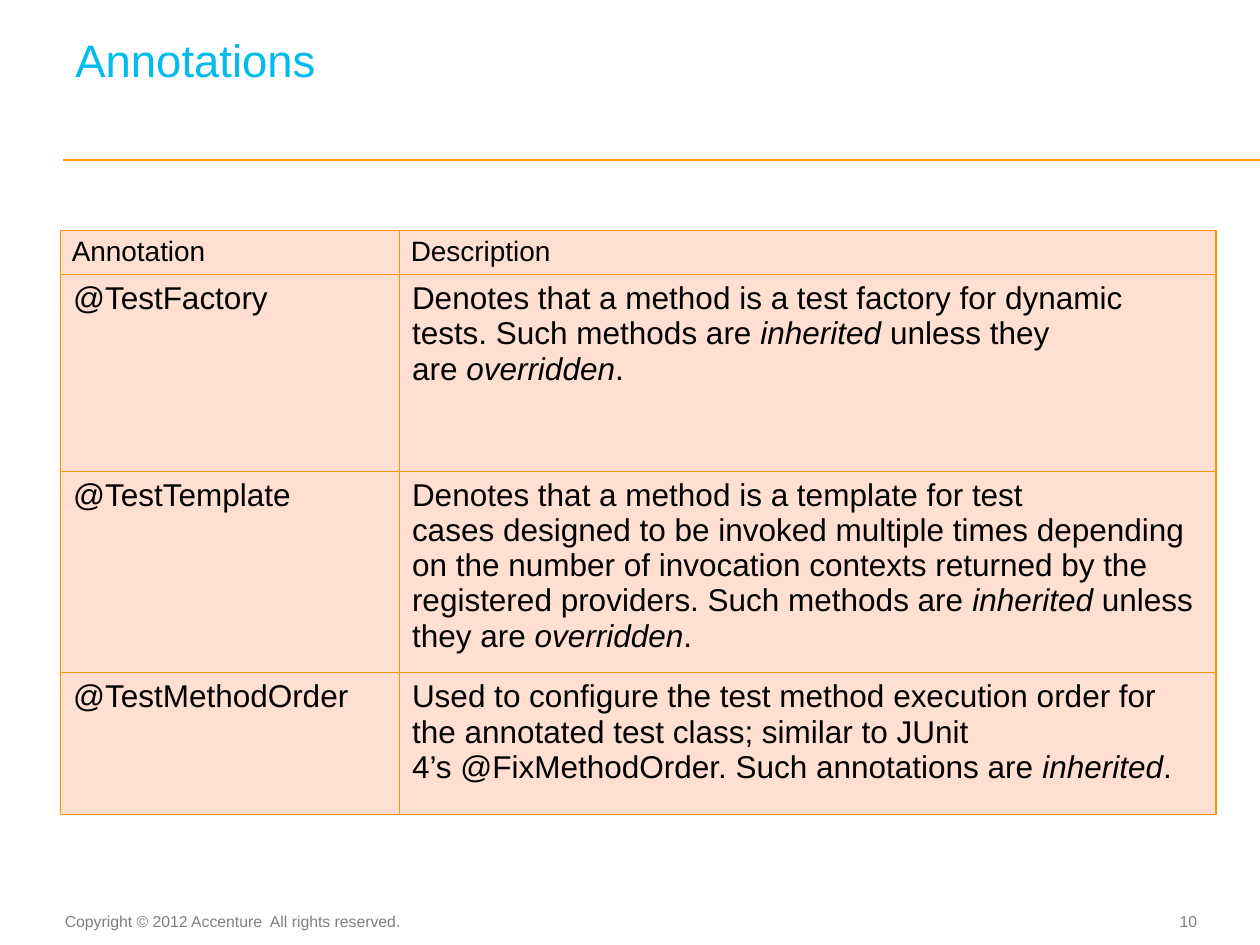
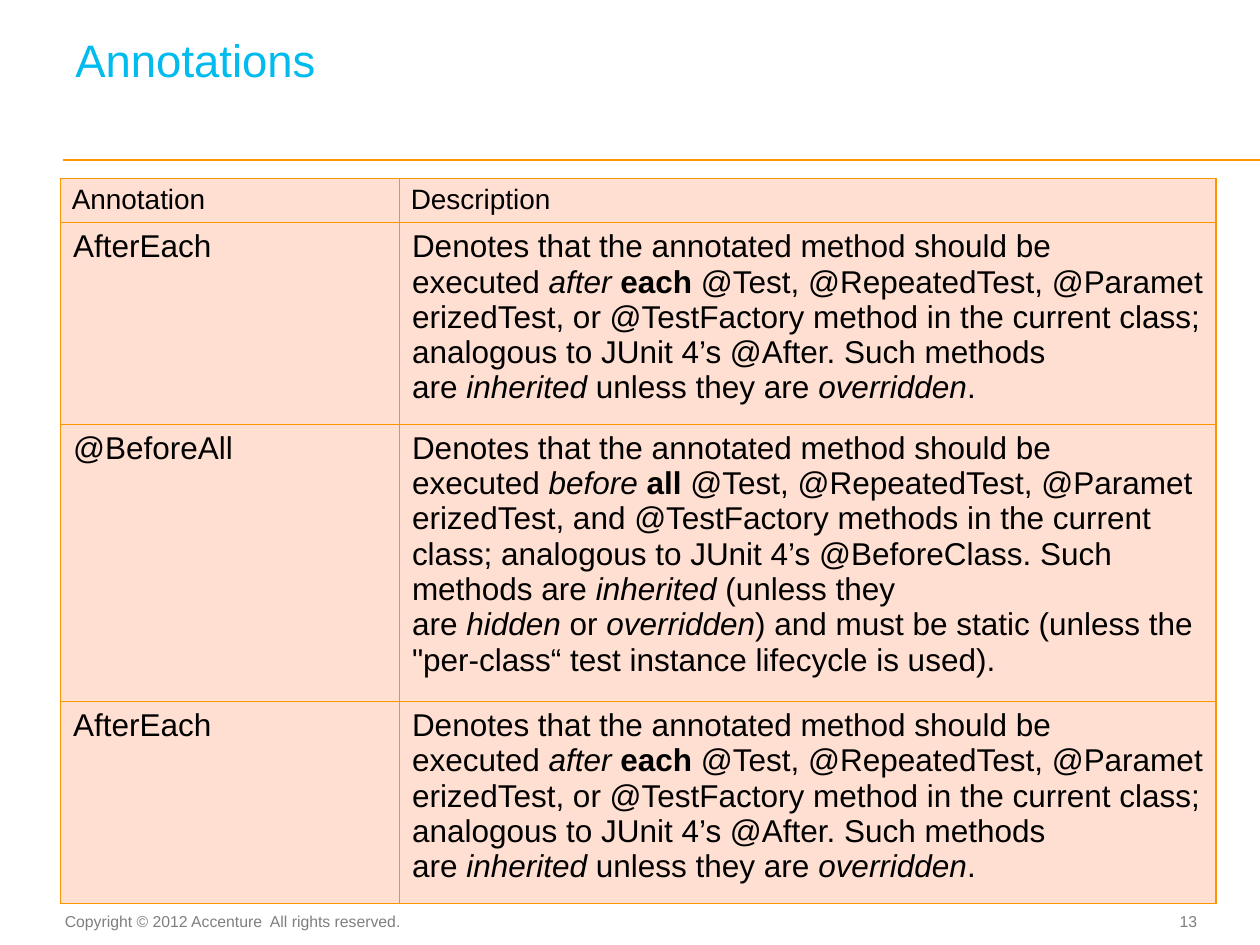
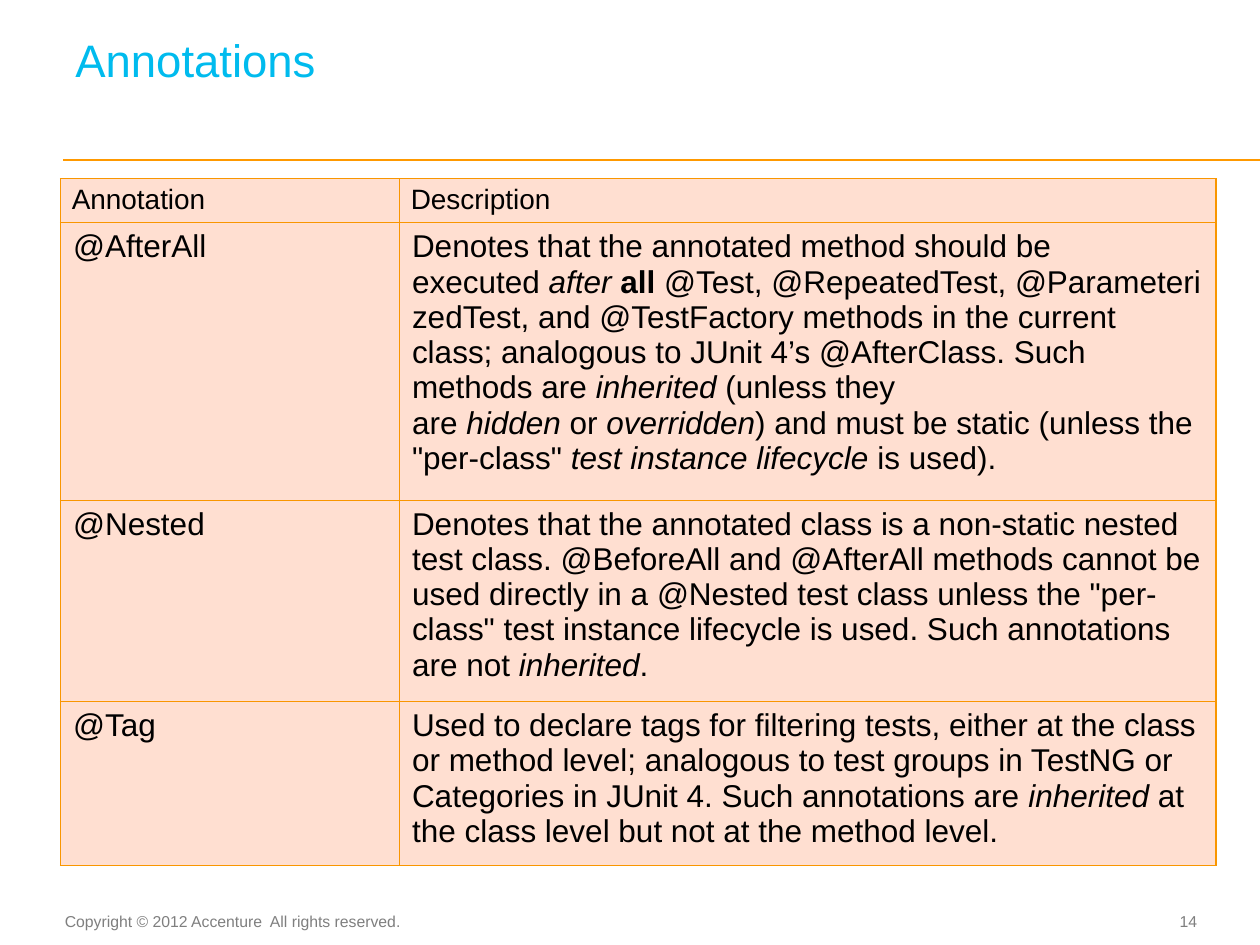
"""Build three slides that list test annotations in tables."""

from dataclasses import dataclass
from typing import Any

import lxml.etree
import pptx
import pptx.dml.color
import pptx.enum.shapes
import pptx.enum.text
import pptx.oxml.ns
import pptx.util

Pt = pptx.util.Pt
Align = pptx.enum.text.PP_ALIGN
Anchor = pptx.enum.text.MSO_ANCHOR

FONT = "Arial"
TITLE_COLOUR = "00BBEE"
RULE_COLOUR = "FF9900"
BORDER_COLOUR = "F99600"
CELL_COLOUR = "FFDFD1"
TEXT_COLOUR = "000000"
FOOTER_COLOUR = "7F7F7F"
BACKGROUND_COLOUR = "FFFFFF"

TABLE_LEFT = 34.56
COLUMN_WIDTHS = (193.7, 466.6)
HEADER_HEIGHT = 25.2
HEADER_MARGINS = {"margin_left": Pt(6.5), "margin_right": Pt(6.5),
                  "margin_top": Pt(3), "margin_bottom": Pt(3)}
BODY_MARGINS = {"margin_left": Pt(7.2), "margin_right": Pt(7.2),
                "margin_top": Pt(3.6), "margin_bottom": Pt(3.6)}


@dataclass(frozen=True)
class Label:
    """A single-line text box with its place and format."""

    left: float
    top: float
    width: float
    height: float
    size: float
    colour: str
    frame_format: dict[str, Any]
    alignment: Any = Align.LEFT


@dataclass(frozen=True)
class Annotation:
    """A table row; ~ is a no-break space, * marks italic and ** bold."""

    name: str
    description: str
    height: float


@dataclass(frozen=True)
class AnnotationSlide:
    """The page number, table top and rows of one slide."""

    number: int
    table_top: float
    annotations: tuple[Annotation, ...]


TITLE = Label(36, 13.68, 645.84, 61.92, 26, TITLE_COLOUR, {
    "margin_left": Pt(7.2), "margin_right": 0, "margin_top": 0,
    "margin_bottom": Pt(26), "vertical_anchor": Anchor.BOTTOM, "word_wrap": True})
COPYRIGHT = Label(35.28, 517.68, 202.32, 18, 9, FOOTER_COLOUR, {
    "margin_left": 0, "margin_right": Pt(7.2), "margin_top": Pt(3.6),
    "margin_bottom": Pt(3.6), "word_wrap": False}, Align.CENTER)
PAGE_NUMBER = Label(641.52, 516.96, 42.48, 19.44, 9, FOOTER_COLOUR, {
    "margin_left": 0, "margin_right": 0, "margin_top": 0, "margin_bottom": 0,
    "vertical_anchor": Anchor.MIDDLE, "word_wrap": True}, Align.RIGHT)

EXECUTED = "Denotes that the annotated method should be executed~"
TESTS = "~@Test,~@RepeatedTest,~@ParameterizedTest, "
UNLESS_OVERRIDDEN = "*inherited*~unless they are~*overridden*."
ALL_TESTS = f"**all**{TESTS}and~@TestFactory~methods in the current class; analogous to JUnit 4’s~"
STATIC_RULE = (" Such methods are~*inherited*~(unless they are~*hidden*~or~*overridden*)"
               " and must be~static~(unless the ")


def after_each(height: float) -> Annotation:
    """Return the AfterEach row at the given height."""
    return Annotation("AfterEach", (
        f"{EXECUTED}*after~***each**{TESTS}or~@TestFactory~method in the current class; "
        f"analogous to JUnit 4’s~@After. Such methods are~{UNLESS_OVERRIDDEN}"
    ).replace("*after~***", "*after*~**"), height)


SLIDES = (
    AnnotationSlide(10, 131.8, (
        Annotation("@TestFactory", (
            "Denotes that a method is a test factory for~dynamic tests. "
            f"Such methods are~{UNLESS_OVERRIDDEN}"), 112.3),
        Annotation("@TestTemplate", (
            "Denotes that a method is a~template for test cases~designed to be invoked "
            "multiple times depending on the number of invocation contexts returned by "
            f"the registered~providers. Such methods are~{UNLESS_OVERRIDDEN}"), 108),
        Annotation("@TestMethodOrder", (
            "Used to configure the~test method execution order~for the annotated test "
            "class; similar to JUnit 4’s~@FixMethodOrder. Such annotations are~"
            "*inherited*."), 81),
    )),
    AnnotationSlide(13, 102.2, (
        after_each(112.3),
        Annotation("@BeforeAll", (
            f"{EXECUTED}*before*~{ALL_TESTS}@BeforeClass.{STATIC_RULE}"
            '"per-class“ test instance lifecycle~is used).'), 148.3),
        after_each(108),
    )),
    AnnotationSlide(14, 102.2, (
        Annotation("@AfterAll", (
            f"{EXECUTED}*after*~{ALL_TESTS}@AfterClass.{STATIC_RULE}"
            '"per-class"~*test instance lifecycle*~is used).'), 148.3),
        Annotation("@Nested", (
            "Denotes that the annotated class is a non-static~nested test class.~"
            "@BeforeAll~and~@AfterAll~methods cannot be used directly in a~@Nested~test "
            'class unless the "per-class"~test instance lifecycle~is used. '
            "Such annotations are not~*inherited*."), 108),
        Annotation("@Tag", (
            "Used to declare~tags for filtering tests, either at the class or method "
            "level; analogous to test groups in TestNG or Categories in JUnit 4. Such "
            "annotations are~*inherited*~at the class level but not at the method level."
        ), 87.8),
    )),
)


def colour(value: str) -> pptx.dml.color.RGBColor:
    """Turn a hex string into a colour."""
    return pptx.dml.color.RGBColor.from_string(value)


def apply_format(target: Any, values: dict[str, Any]) -> None:
    """Set every named attribute on the target."""
    for name, value in values.items():
        setattr(target, name, value)


def add_run(paragraph: Any, text: str, size: float, text_colour: str,
            bold: bool = False, italic: bool = False) -> None:
    """Add one formatted run."""
    run = paragraph.add_run()
    run.text = text.replace("~", chr(160))
    apply_format(run.font, {"name": FONT, "size": Pt(size), "bold": bold, "italic": italic})
    run.font.color.rgb = colour(text_colour)


def add_marked_text(paragraph: Any, text: str, size: float) -> None:
    """Add runs for text with bold and italic marks."""
    for bold_index, section in enumerate(text.split("**")):
        for italic_index, part in enumerate(section.split("*")):
            if part:
                add_run(paragraph, part, size, TEXT_COLOUR,
                        bold_index % 2 == 1, italic_index % 2 == 1)


def add_label(slide: Any, label: Label, text: str) -> Any:
    """Draw a label and return its paragraph."""
    shape = slide.shapes.add_textbox(
        Pt(label.left), Pt(label.top), Pt(label.width), Pt(label.height))
    apply_format(shape.text_frame, label.frame_format)
    paragraph = shape.text_frame.paragraphs[0]
    paragraph.alignment = label.alignment
    add_run(paragraph, text, label.size, label.colour)
    return paragraph


def add_rule(slide: Any) -> None:
    """Draw the line under the title."""
    rule = slide.shapes.add_connector(
        pptx.enum.shapes.MSO_CONNECTOR.STRAIGHT, Pt(36), Pt(91.44), Pt(720), Pt(91.44))
    rule.line.width = Pt(1)
    rule.line.color.rgb = colour(RULE_COLOUR)
    lxml.etree.SubElement(rule._element.spPr, pptx.oxml.ns.qn("a:effectLst"))


def add_borders(cell: Any) -> None:
    """Give a cell the same border on all sides."""
    qn = pptx.oxml.ns.qn
    properties = cell._tc.get_or_add_tcPr()
    for side in ("L", "R", "T", "B"):
        border = lxml.etree.SubElement(properties, qn(f"a:ln{side}"), w=str(Pt(0.75)))
        fill = lxml.etree.SubElement(border, qn("a:solidFill"))
        lxml.etree.SubElement(fill, qn("a:srgbClr"), val=BORDER_COLOUR)


def fill_cell(cell: Any, text: str, size: float, margins: dict[str, Any]) -> None:
    """Format a cell and write its text."""
    add_borders(cell)
    cell.fill.solid()
    cell.fill.fore_color.rgb = colour(CELL_COLOUR)
    apply_format(cell, margins)
    add_marked_text(cell.text_frame.paragraphs[0], text, size)


def add_annotation_table(slide: Any, content: AnnotationSlide) -> None:
    """Draw the table of annotations."""
    heights = [HEADER_HEIGHT] + [row.height for row in content.annotations]
    table = slide.shapes.add_table(
        len(heights), len(COLUMN_WIDTHS), Pt(TABLE_LEFT), Pt(content.table_top),
        Pt(sum(COLUMN_WIDTHS)), Pt(sum(heights))).table
    apply_format(table, {"first_row": False, "horz_banding": False})
    for column, width in zip(table.columns, COLUMN_WIDTHS):
        column.width = Pt(width)
    for row, height in zip(table.rows, heights):
        row.height = Pt(height)
    for column_index, heading in enumerate(("Annotation", "Description")):
        fill_cell(table.cell(0, column_index), heading, 16, HEADER_MARGINS)
    for row_index, annotation in enumerate(content.annotations, start=1):
        for column_index, text in enumerate((annotation.name, annotation.description)):
            fill_cell(table.cell(row_index, column_index), text, 18, BODY_MARGINS)


def add_annotation_slide(presentation: Any, content: AnnotationSlide) -> None:
    """Add one slide with its title, footer and table."""
    slide = presentation.slides.add_slide(presentation.slide_layouts[6])
    slide.background.fill.solid()
    slide.background.fill.fore_color.rgb = colour(BACKGROUND_COLOUR)
    add_rule(slide)
    add_label(slide, COPYRIGHT, "Copyright © 2012 Accenture  All rights reserved.")
    add_label(slide, PAGE_NUMBER, str(content.number))
    add_label(slide, TITLE, "Annotations").line_spacing = Pt(26)
    add_annotation_table(slide, content)


def main() -> None:
    """Build and save the presentation."""
    presentation = pptx.Presentation()
    apply_format(presentation, {"slide_width": Pt(720), "slide_height": Pt(540)})
    for content in SLIDES:
        add_annotation_slide(presentation, content)
    presentation.save("out.pptx")


if __name__ == "__main__":
    main()
